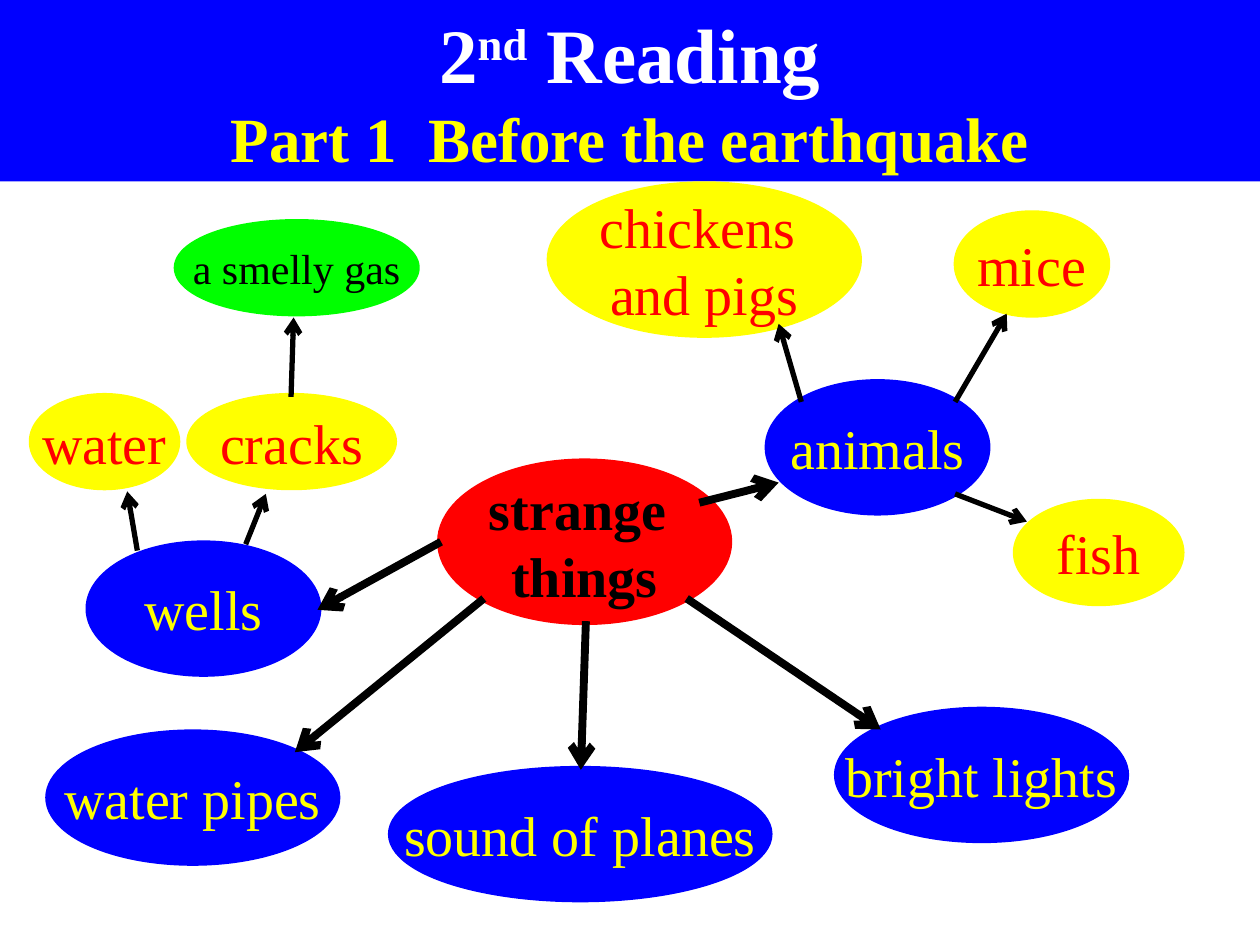
from lxml.etree import SubElement
from pptx import Presentation
from pptx.dml.color import RGBColor
from pptx.enum.shapes import MSO_CONNECTOR, MSO_SHAPE
from pptx.enum.text import MSO_ANCHOR, MSO_AUTO_SIZE, PP_ALIGN
from pptx.oxml.ns import qn
from pptx.util import Inches, Pt

FONT = "Times New Roman"
COLORS = {
    "blue": "0000FF",
    "yellow": "FFFF00",
    "red": "FF0000",
    "green": "00FF00",
    "black": "000000",
    "white": "FFFFFF",
}

TITLE = [
    ("2", {"size": 44, "color": "white"}),
    ("nd", {"size": 44, "color": "white", "baseline": 30000}),
    (" Reading", {"size": 44, "color": "white"}),
    None,
    ("Part 1  Before the earthquake", {"size": 36, "color": "yellow"}),
]

STYLES = {
    "topic": {"fill": "red", "color": "black", "size": 32, "bold": True},
    "sign": {"fill": "blue", "color": "yellow", "size": 32},
    "detail": {"fill": "yellow", "color": "red", "size": 32},
    "gas": {"fill": "green", "color": "black", "size": 24},
}

BUBBLES = [
    ("topic", ["strange ", "things"], (3.5, 3.67, 2.28, 1.26)),
    ("sign", ["water pipes"], (0.39, 5.82, 2.28, 1.02)),
    ("sign", ["sound of planes"], (3.11, 6.11, 2.99, 1.02)),
    ("sign", ["bright lights"], (6.65, 5.64, 2.28, 1.02)),
    ("sign", ["wells"], (0.71, 4.32, 1.81, 1.02)),
    ("sign", ["animals"], (6.1, 3.04, 1.73, 1.02)),
    ("detail", ["chickens ", "and pigs"], (4.37, 1.47, 2.44, 1.18)),
    ("detail", ["mice"], (7.6, 1.7, 1.18, 0.79)),
    ("detail", ["fish"], (8.07, 3.99, 1.3, 0.79)),
    ("detail", ["water"], (0.26, 3.15, 1.14, 0.71)),
    ("detail", ["cracks"], (1.51, 3.15, 1.61, 0.71)),
    ("gas", ["a smelly gas"], (1.41, 1.77, 1.89, 0.71)),
]

ARROWS = {
    4.5: [
        (5.55, 3.99, 6.18, 3.83),
        (5.45, 4.75, 6.99, 5.79),
        (4.65, 4.93, 4.61, 6.11),
        (3.84, 4.75, 2.34, 5.97),
        (3.5, 4.3, 2.52, 4.84),
    ],
    3: [
        (1.09, 4.37, 1.01, 3.9),
        (1.95, 4.32, 2.11, 3.92),
        (2.31, 3.15, 2.33, 2.52),
        (7.58, 3.92, 8.15, 4.14),
        (6.36, 3.19, 6.18, 2.57),
        (7.58, 3.19, 7.99, 2.49),
    ],
}


def rgb(name):
    return RGBColor.from_string(COLORS[name])


def add_text(p, text, size=32, color="black", bold=False, baseline=None):
    r = p.add_run()
    r.text = text
    r.font.name = FONT
    r.font.size = Pt(size)
    r.font.bold = bold
    r.font.color.rgb = rgb(color)
    if baseline:
        r.font._element.set("baseline", str(baseline))


def add_title(s):
    title = s.shapes.title
    title.left, title.top = Inches(0), Inches(0)
    title.width, title.height = Inches(10), Inches(1.44)
    title.fill.solid()
    title.fill.fore_color.rgb = rgb("blue")
    tf = title.text_frame
    tf.auto_size = MSO_AUTO_SIZE.NONE
    tf.vertical_anchor = MSO_ANCHOR.MIDDLE
    p = tf.paragraphs[0]
    p.alignment = PP_ALIGN.CENTER
    for part in TITLE:
        if part is None:
            p.add_line_break()
        else:
            add_text(p, part[0], bold=True, **part[1])


def add_bubble(s, lines, box, fill, **style):
    sp = s.shapes.add_shape(MSO_SHAPE.OVAL, *map(Inches, box))
    sp.shadow.inherit = False
    sp.fill.solid()
    sp.fill.fore_color.rgb = rgb(fill)
    sp.line.color.rgb = rgb(fill)
    sp.line.width = Pt(4.5)
    tf = sp.text_frame
    tf.word_wrap = False
    tf.vertical_anchor = MSO_ANCHOR.MIDDLE
    for i, line in enumerate(lines):
        p = tf.add_paragraph() if i else tf.paragraphs[0]
        p.alignment = PP_ALIGN.CENTER
        add_text(p, line, **style)


def add_arrow(s, ends, width):
    c = s.shapes.add_connector(MSO_CONNECTOR.STRAIGHT, *map(Inches, ends))
    c.line.color.rgb = rgb("black")
    c.line.width = Pt(width)
    SubElement(c.line._get_or_add_ln(), qn("a:tailEnd"), type="arrow")
    SubElement(c._element.spPr, qn("a:effectLst"))


def main():
    prs = Presentation()
    prs.slide_width, prs.slide_height = Inches(10), Inches(7.5)
    s = prs.slides.add_slide(prs.slide_layouts[5])
    add_title(s)
    for kind, lines, box in BUBBLES:
        add_bubble(s, lines, box, **STYLES[kind])
    for width, arrows in ARROWS.items():
        for ends in arrows:
            add_arrow(s, ends, width)
    prs.save("out.pptx")


if __name__ == "__main__":
    main()
